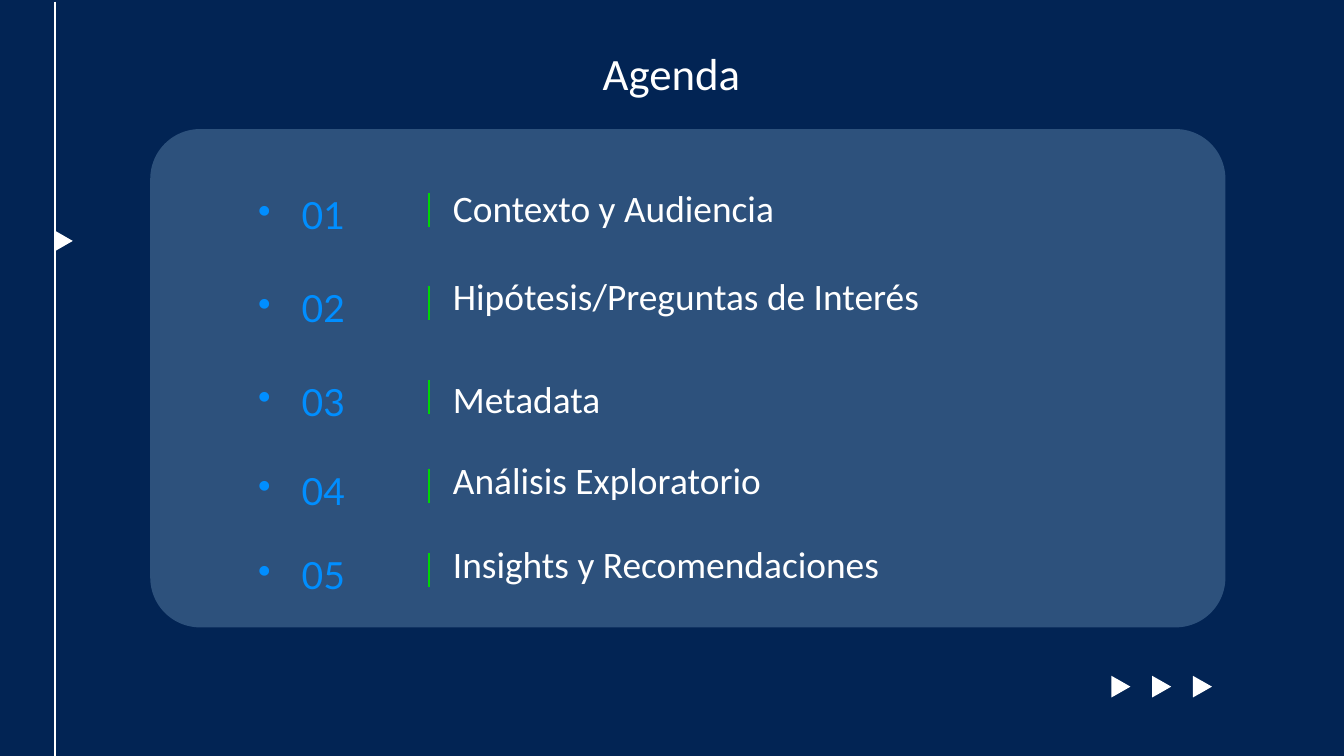
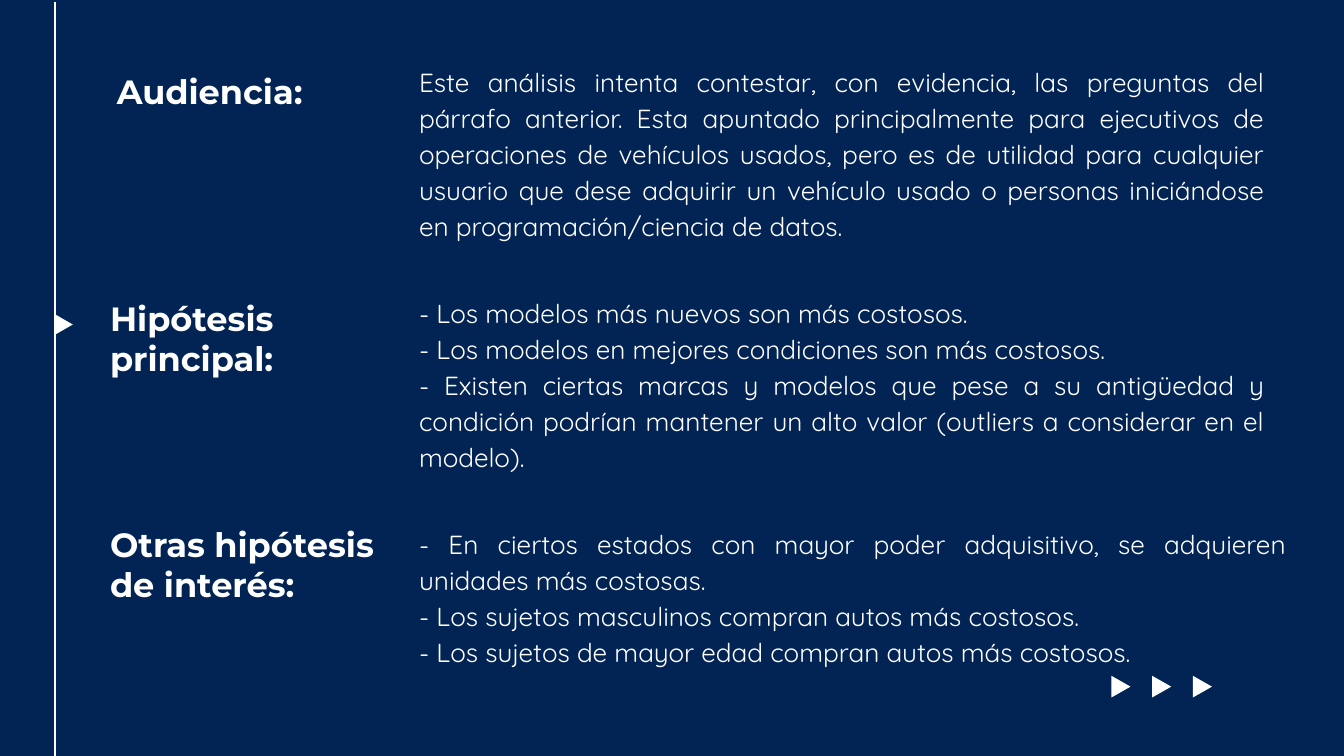
from lxml.etree import SubElement
from pptx import Presentation
from pptx.dml.color import RGBColor
from pptx.enum.shapes import MSO_CONNECTOR, MSO_SHAPE
from pptx.enum.text import MSO_ANCHOR, MSO_AUTO_SIZE, PP_ALIGN
from pptx.oxml.ns import qn
from pptx.util import Cm, Pt

WIDTH, HEIGHT = 25.4, 14.29
NAVY, PANEL = "022454", "2D517C"
WHITE, BLUE, GREEN = "FFFFFF", "008EFF", "00D703"

AGENDA = [
    ("Contexto y Audiencia", 3.73, 3.66),
    ("Hipótesis/Preguntas de Interés", 5.49, 5.33),
    ("Metadata", 7.26, 7.26),
    ("Análisis Exploratorio", 8.94, 8.79),
    ("Insights y Recomendaciones", 10.54, 10.39),
]

SECTIONS = [
    ("Audiencia:", (1.96, 1.09, 4.29, 2.06), (7.37, 0.91, 16.79, 3.96), [
        "Este análisis intenta contestar, con evidencia, las preguntas del "
        "párrafo anterior. Esta apuntado principalmente para ejecutivos de "
        "operaciones de vehículos usados, pero es de utilidad para cualquier "
        "usuario que dese adquirir un vehículo usado o personas iniciándose "
        "en programación/ciencia de datos.",
    ]),
    ("Hipótesis principal:", (1.83, 5.38, 4.29, 2.82), (7.37, 5.28, 16.79, 3.96), [
        "- Los modelos más nuevos son más costosos.",
        "- Los modelos en mejores condiciones son más costosos.",
        "- Existen ciertas marcas y modelos que pese a su antigüedad y "
        "condición podrían mantener un alto valor (outliers a considerar en "
        "el modelo).",
    ]),
    ("Otras hipótesis de interés:", (1.83, 9.65, 5.54, 2.82), (7.37, 9.65, 17.2, 3.28), [
        "- En ciertos estados con mayor poder adquisitivo, se adquieren "
        "unidades más costosas.",
        "- Los sujetos masculinos compran autos más costosos.",
        "- Los sujetos de mayor edad compran autos más costosos.",
    ]),
]


def color(value):
    return RGBColor.from_string(value)


def add_block(shapes, kind, box, fill):
    shape = shapes.add_shape(kind, *map(Cm, box))
    shape.shadow.inherit = False
    shape.fill.solid()
    shape.fill.fore_color.rgb = color(fill)
    shape.line.fill.background()
    return shape


def add_triangle(shapes, left, top, width, height):
    triangle = add_block(shapes, MSO_SHAPE.ISOSCELES_TRIANGLE,
                         (left, top, width, height), WHITE)
    triangle.rotation = 90


def add_vertical_line(slide, x, top, bottom, line_color, weight):
    line = slide.shapes.add_connector(
        MSO_CONNECTOR.STRAIGHT, Cm(x), Cm(top), Cm(x), Cm(bottom))
    line.line.color.rgb = color(line_color)
    line.line.width = Pt(weight)
    SubElement(line._element.spPr, qn("a:effectLst"))


def add_bullet(properties, bullet_color):
    holder = SubElement(properties, qn("a:buClr"))
    SubElement(holder, qn("a:srgbClr")).set("val", bullet_color)
    SubElement(properties, qn("a:buChar")).set("char", "•")


def add_text(slide, box, lines, font, size, text_color=WHITE, bold=False,
             align=None, spacing=None, margin=0.25, grow=True,
             anchor=MSO_ANCHOR.TOP, indent=None, bullet=False):
    frame = slide.shapes.add_textbox(*map(Cm, box)).text_frame
    frame.word_wrap = True
    frame.vertical_anchor = anchor
    frame.auto_size = MSO_AUTO_SIZE.SHAPE_TO_FIT_TEXT if grow else MSO_AUTO_SIZE.NONE
    frame.margin_left = frame.margin_right = Cm(margin)
    frame.margin_top = frame.margin_bottom = Cm(margin)
    for index, line in enumerate(lines):
        paragraph = frame.paragraphs[0] if index == 0 else frame.add_paragraph()
        paragraph.text = line
        paragraph.alignment = align
        paragraph.line_spacing = spacing
        properties = paragraph._p.get_or_add_pPr()
        if indent:
            left, first = indent
            properties.set("marL", str(Cm(left)))
            properties.set("indent", str(Cm(first)))
        if bullet:
            add_bullet(properties, text_color)
        paragraph.font.name = font
        paragraph.font.size = Pt(size)
        paragraph.font.bold = bold
        paragraph.font.color.rgb = color(text_color)


def add_base_slide(presentation, marker_top):
    slide = presentation.slides.add_slide(presentation.slide_layouts[6])
    background = add_block(slide.shapes, MSO_SHAPE.RECTANGLE,
                           (0, 0, WIDTH, HEIGHT), NAVY)
    background.line.color.rgb = color(NAVY)
    background.line.width = Pt(2.25)
    add_vertical_line(slide, 1.04, 0.03, HEIGHT, WHITE, 0.75)
    arrows = slide.shapes.add_group_shape()
    for index in range(3):
        add_triangle(arrows.shapes, 20.98 + index * 0.77, 12.8, 0.41, 0.36)
    add_triangle(slide.shapes, 1.02, marker_top, 0.38, 0.33)
    return slide


def add_agenda_row(slide, number, topic, number_top, topic_top):
    add_text(slide, (4.88, number_top, 3.35, 0.58), [f" {number:02d}"], "Lato", 20,
             BLUE, spacing=0.9, margin=0, grow=False, indent=(0.64, -0.71),
             bullet=True)
    add_text(slide, (8.56, topic_top, 12.42, 0.64), [topic], "Calibri", 20,
             spacing=0.9, margin=0, grow=False, anchor=MSO_ANCHOR.MIDDLE)
    line_top = number_top - 0.08
    add_vertical_line(slide, 8.1, line_top, line_top + 0.64, GREEN, 1)


def add_agenda(presentation):
    slide = add_base_slide(presentation, 4.39)
    add_text(slide, (5.26, 0.61, 14.86, 2.31), ["Agenda"], "Calibri", 24,
             align=PP_ALIGN.CENTER)
    panel = add_block(slide.shapes, MSO_SHAPE.ROUNDED_RECTANGLE,
                      (2.84, 2.44, 20.32, 9.42), PANEL)
    panel.adjustments[0] = 0.1
    for number, row in enumerate(AGENDA, 1):
        add_agenda_row(slide, number, *row)


def add_hypotheses(presentation):
    slide = add_base_slide(presentation, 5.97)
    for heading, heading_box, body_box, lines in SECTIONS:
        add_text(slide, heading_box, [heading], "Montserrat", 18, bold=True)
        add_text(slide, body_box, lines, "Quicksand", 14, align=PP_ALIGN.JUSTIFY,
                 spacing=1.15, indent=(0.3, 0))


def main():
    presentation = Presentation()
    presentation.slide_width = Cm(WIDTH)
    presentation.slide_height = Cm(HEIGHT)
    add_agenda(presentation)
    add_hypotheses(presentation)
    presentation.save("out.pptx")


if __name__ == "__main__":
    main()
